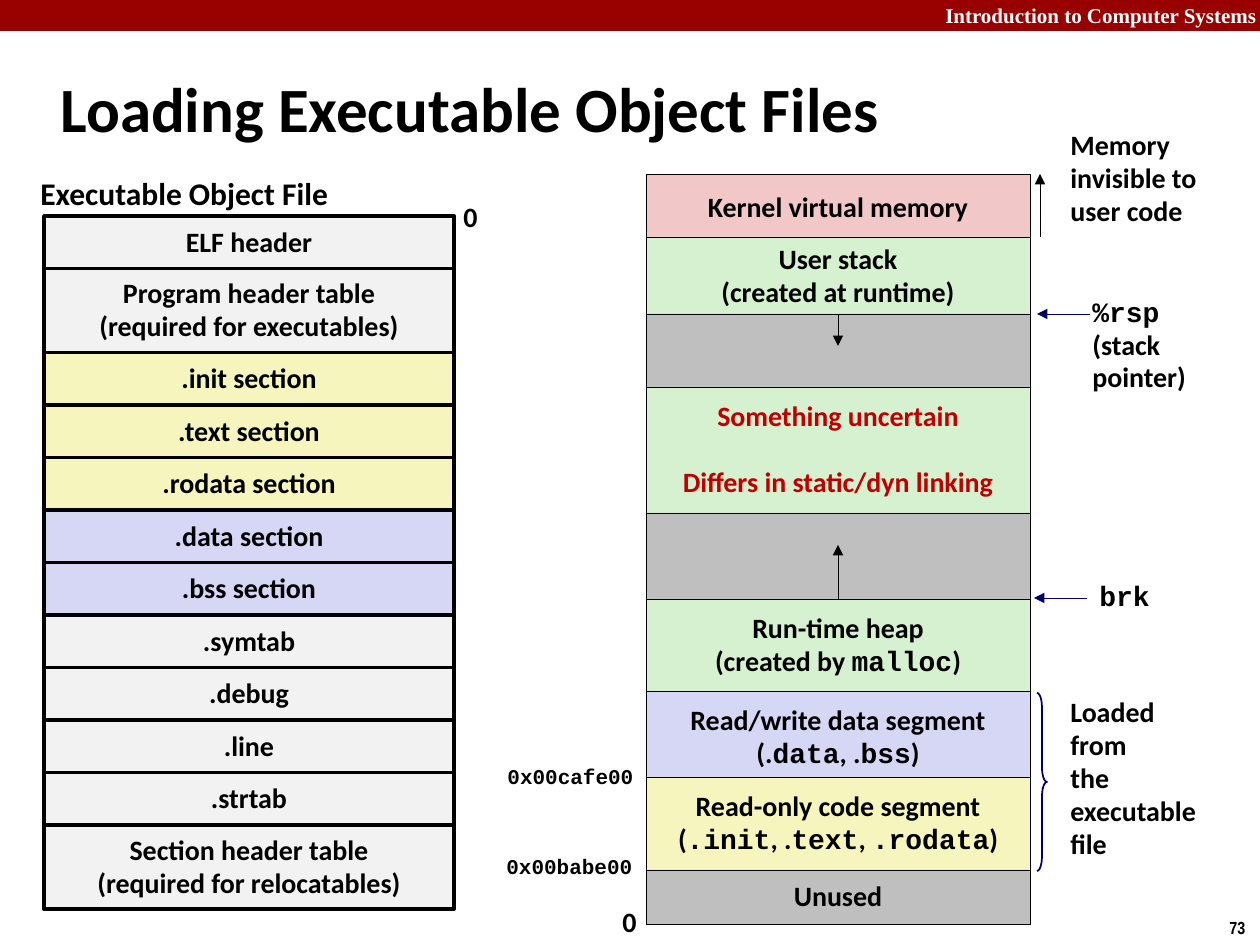
from lxml.etree import SubElement
from pptx import Presentation
from pptx.dml.color import RGBColor
from pptx.enum.shapes import MSO_CONNECTOR as CONNECTOR, MSO_SHAPE as SHAPE
from pptx.enum.text import MSO_ANCHOR as ANCHOR, PP_ALIGN as ALIGN
from pptx.oxml.ns import qn
from pptx.util import Emu, Pt

rgb = RGBColor.from_string
BLACK, NAVY, RED, WHITE = "000000", "000066", "C00000", "FFFFFF"
LIGHT, GRAY, YELLOW = "F2F2F2", "BFBFBF", "F6F5BD"
LILAC, GREEN, PINK = "D6D6F5", "D5F1CF", "F1C7C7"


def px(*lengths):
    return [Emu(round(length * 914400 / 126)) for length in lengths]


def write(frame, text, size=16, color=BLACK, align=ALIGN.LEFT, font="Calibri",
          wrap=False, spacing=0.98):
    """One paragraph per line; text between backticks is set in Courier New."""
    frame.word_wrap = wrap
    for i, line in enumerate(text.split("\n")):
        paragraph = frame.paragraphs[0] if i == 0 else frame.add_paragraph()
        paragraph.alignment = align
        paragraph.line_spacing = 0.94 if line.startswith("`") else spacing
        for j, part in enumerate(line.split("`")):
            if part:
                run = paragraph.add_run()
                run.text = part
                run.font.name = "Courier New" if j % 2 else font
                run.font.size = Pt(size)
                run.font.bold = True
                run.font.color.rgb = rgb(color)


prs = Presentation()
prs.slide_width, prs.slide_height = px(1260, 945)
slide = prs.slides.add_slide(prs.slide_layouts[5])
shapes = slide.shapes

# Header band
band = shapes.add_shape(SHAPE.RECTANGLE, *px(0, 0, 1260, 31))
band.shadow.inherit = False
band.fill.solid()
band.fill.fore_color.rgb = rgb("990000")
band.line.fill.background()
course = shapes.add_textbox(*px(756, -4, 513, 38))
write(course.text_frame, "Introduction to Computer Systems", 12, WHITE,
      ALIGN.RIGHT, "Times New Roman", wrap=True, spacing=1.0)

# Title
title = shapes.title
title.left, title.top, title.width, title.height = px(48, 53, 1201, 108)
title.text_frame.vertical_anchor = ANCHOR.MIDDLE
write(title.text_frame, "Loading Executable Object Files", 36, wrap=True, spacing=1.0)

# Sections of the object file, from top to bottom
sections = [
    ("ELF header", LIGHT),
    ("Program header table\n(required for executables)", LIGHT),
    (".init section", YELLOW),
    (".text section", YELLOW),
    (".rodata section", YELLOW),
    (".data section", LILAC),
    (".bss section", LILAC),
    (".symtab", LIGHT),
    (".debug", LIGHT),
    (".line", LIGHT),
    (".strtab", LIGHT),
    ("Section header table\n(required for relocatables)", LIGHT),
]
FILE_TOP, FILE_BOTTOM, TALL_ROW = 216, 909, 84
tall_count = sum("\n" in text for text, _ in sections)
short_row = (FILE_BOTTOM - FILE_TOP - tall_count * TALL_ROW) / (len(sections) - tall_count)

blocks = []
top = FILE_TOP
for text, fill in sections:
    height = TALL_ROW if "\n" in text else short_row
    blocks.append((44, top, 410, height, fill, 2, text, BLACK))
    top += height

# Regions of the memory image; some reach under the next one
regions = [
    (174, 67, PINK, "Kernel virtual memory", BLACK),
    (237, 78, GREEN, "User stack\n(created at runtime)", BLACK),
    (314, 74, GRAY, "", BLACK),
    (387, 126, GREEN, "Something uncertain\nDiffers in static/dyn linking", RED),
    (513, 87, GRAY, "", BLACK),
    (599, 92, GREEN, "Run-time heap\n(created by `malloc`)", BLACK),
    (691, 92, LILAC, "Read/write data segment\n(.`data`, .`bss`)", BLACK),
    (777, 93, YELLOW, "Read-only code segment\n(`.init`, .`text`, `.rodata`)", BLACK),
    (870, 54, GRAY, "Unused", BLACK),
]
blocks += [(646, top, 384, height, fill, 0.25, text, color)
           for top, height, fill, text, color in regions]

for left, top, width, height, fill, weight, text, color in blocks:
    block = shapes.add_shape(SHAPE.RECTANGLE, *px(left, top, width, height))
    block.shadow.inherit = False
    block.fill.solid()
    block.fill.fore_color.rgb = rgb(fill)
    block.line.color.rgb = rgb(BLACK)
    block.line.width = Pt(weight)
    if text:
        block.text_frame.vertical_anchor = ANCHOR.MIDDLE
        write(block.text_frame, text, color=color, align=ALIGN.CENTER)
    if color == RED:
        block.text_frame.paragraphs[1].space_before = Pt(19)

# Arrows: stack and heap growth, hidden memory, stack pointer, break
arrows = [
    (838, 315, 838, 346, BLACK),
    (838, 599, 838, 545, BLACK),
    (1040, 237, 1040, 174, BLACK),
    (1090, 314, 1037, 314, NAVY),
    (1087, 598, 1034, 598, NAVY),
]
for *ends, color in arrows:
    arrow = shapes.add_connector(CONNECTOR.STRAIGHT, *px(*ends))
    arrow.line.color.rgb = rgb(color)
    arrow.line.width = Pt(0.25)
    properties = arrow._element.spPr
    SubElement(properties.find(qn("a:ln")), qn("a:tailEnd"), type="triangle")
    SubElement(properties, qn("a:effectLst"))

# Brace over the loaded segments
brace = shapes.add_shape(SHAPE.RIGHT_BRACE, *px(1037, 693, 10, 178))
brace.shadow.inherit = False
brace.adjustments[0] = 1.42
brace.fill.background()
brace.line.color.rgb = rgb(NAVY)
brace.line.width = Pt(1)

# Labels around the two columns
labels = [
    (28, 170, 315, 50, 18, "Executable Object File"),
    (451, 195, 39, 47, 16, "0"),
    (610, 900, 39, 47, 16, "0"),
    (495, 759, 197, 38, 12, "`0x00cafe00`"),
    (494, 849, 154, 38, 12, "`0x00babe00`"),
    (1058, 123, 181, 113, 16, "Memory\ninvisible to\nuser code"),
    (1080, 291, 120, 111, 16, "`%rsp`\n(stack\npointer)"),
    (1087, 575, 76, 45, 16, "`brk`"),
    (1058, 690, 159, 179, 16, "Loaded\nfrom\nthe\nexecutable\nfile"),
]
for left, top, width, height, size, text in labels:
    label = shapes.add_textbox(*px(left, top, width, height))
    write(label.text_frame, text, size)

# Page number
page = shapes.add_textbox(*px(1217, 911, 43, 34))
write(page.text_frame, "73", 10, font="Arial Narrow", spacing=1.0)

prs.save("out.pptx")
